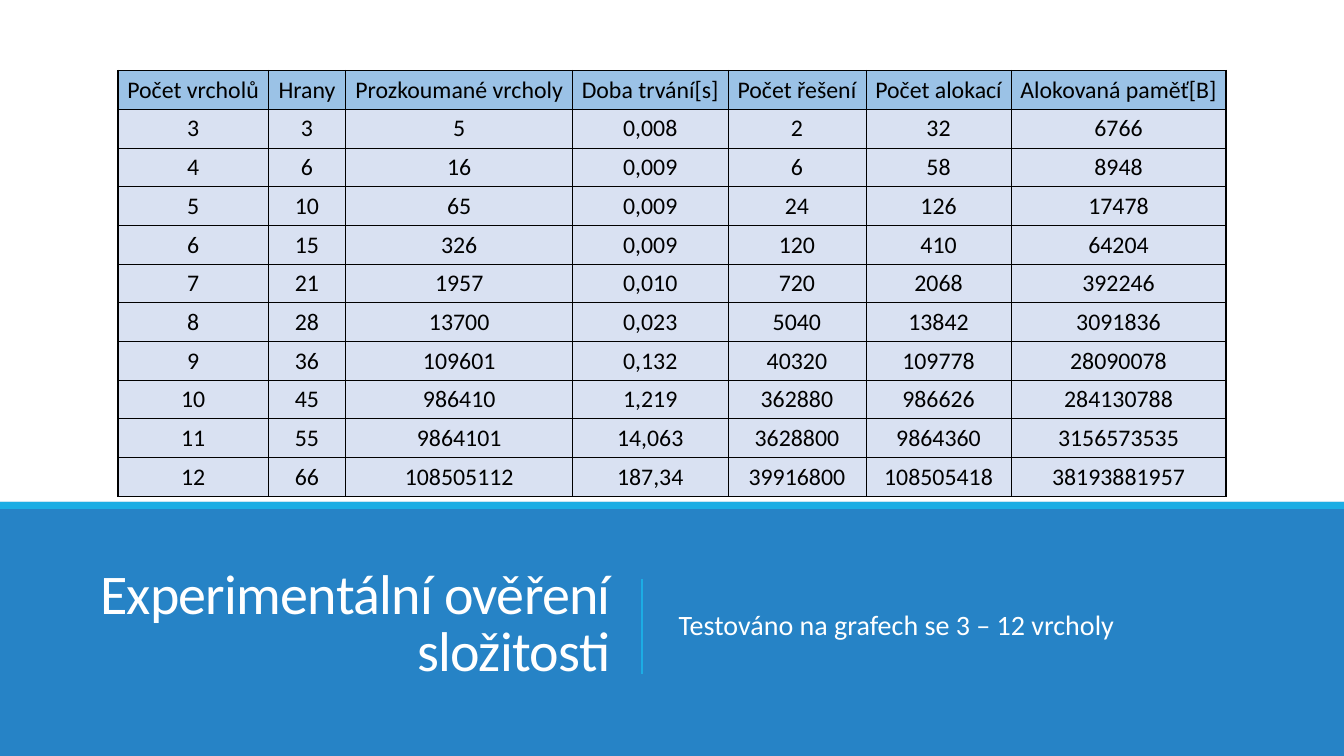
from lxml.etree import SubElement
from pptx import Presentation
from pptx.dml.color import RGBColor
from pptx.enum.shapes import MSO_CONNECTOR, MSO_SHAPE
from pptx.enum.text import MSO_ANCHOR as Anchor, PP_ALIGN as Align
from pptx.oxml import parse_xml
from pptx.oxml.ns import nsdecls, qn
from pptx.util import Inches, Pt

COLORS = {
    "band": "2683C6",
    "accent": "1CADE4",
    "header": "9BC2E6",
    "body": "D9E1F2",
    "black": "000000",
    "white": "FFFFFF",
}
HEADERS = ["Počet vrcholů", "Hrany", "Prozkoumané vrcholy", "Doba trvání[s]",
           "Počet řešení", "Počet alokací", "Alokovaná paměť[B]"]
MEASUREMENTS = [
    ["3", "3", "5", "0,008", "2", "32", "6766"],
    ["4", "6", "16", "0,009", "6", "58", "8948"],
    ["5", "10", "65", "0,009", "24", "126", "17478"],
    ["6", "15", "326", "0,009", "120", "410", "64204"],
    ["7", "21", "1957", "0,010", "720", "2068", "392246"],
    ["8", "28", "13700", "0,023", "5040", "13842", "3091836"],
    ["9", "36", "109601", "0,132", "40320", "109778", "28090078"],
    ["10", "45", "986410", "1,219", "362880", "986626", "284130788"],
    ["11", "55", "9864101", "14,063", "3628800", "9864360", "3156573535"],
    ["12", "66", "108505112", "187,34", "39916800", "108505418", "38193881957"],
]
COLUMN_WIDTHS = [149, 77, 225, 154, 137, 144, 213]
THIN, THICK = Pt(0.5), Pt(0.96)

presentation = Presentation()
presentation.slide_width, presentation.slide_height = Inches(13.33), Inches(7.5)
slide = presentation.slides.add_slide(presentation.slide_layouts[6])

# The slide is a fine grid of 1333 columns by 750 rows
COLUMN = presentation.slide_width // 1333
ROW = presentation.slide_height // 750


def grid(left, top, width, height):
    return left * COLUMN, top * ROW, width * COLUMN, height * ROW


def write(frame, text, size, color="white", align=Align.LEFT, anchor=Anchor.MIDDLE,
          line_spacing=1.0, before=0, after=0, tracking=0, indent=0):
    """Fill a text frame with one formatted paragraph; tracking is in 1/100 pt."""
    frame.word_wrap = True
    frame.vertical_anchor = anchor
    paragraph = frame.paragraphs[0]
    paragraph.alignment = align
    paragraph.line_spacing = line_spacing
    paragraph.space_before, paragraph.space_after = Pt(before), Pt(after)
    if indent:
        paragraph._p.get_or_add_pPr().set("marL", str(indent))
    run = paragraph.add_run()
    run.text = text
    run.font.name = "Calibri"
    run.font.size = Pt(size)
    run.font.color.rgb = RGBColor.from_string(COLORS[color])
    if tracking:
        run.font._element.set("spc", str(tracking))


# Lower band with its accent stripe
for color, height in [("band", 252), ("accent", 7)]:
    band = slide.shapes.add_shape(MSO_SHAPE.RECTANGLE, *grid(0, 498, 1333, height))
    band.shadow.inherit = False
    band.fill.solid()
    band.fill.fore_color.rgb = RGBColor.from_string(COLORS[color])
    band.line.fill.background()

# Title, divider and note
title = slide.shapes.add_textbox(*grid(69, 536, 546, 170))
write(title.text_frame, "Experimentální ověření složitosti", 40,
      align=Align.RIGHT, line_spacing=0.85, tracking=-50)

divider = slide.shapes.add_connector(
    MSO_CONNECTOR.STRAIGHT, 637 * COLUMN, 574 * ROW, 637 * COLUMN, 669 * ROW)
divider.line.color.rgb = RGBColor.from_string(COLORS["accent"])
divider.line.width = Pt(1.25)
SubElement(divider._element.spPr, qn("a:effectLst"))

note = slide.shapes.add_textbox(*grid(663, 536, 601, 170))
note.text_frame.margin_left = note.text_frame.margin_right = 0
write(note.text_frame, "Testováno na grafech se 3 – 12 vrcholy", 20,
      line_spacing=0.9, before=12, after=2, indent=10 * COLUMN)

# Table of measurements, with a thicker outer border
rows = [HEADERS] + MEASUREMENTS
last_row, last_column = len(rows) - 1, len(HEADERS) - 1
table = slide.shapes.add_table(
    len(rows), len(HEADERS), *grid(117, 70, sum(COLUMN_WIDTHS), 389)).table
table.first_row = table.horz_banding = False
for column, width in zip(table.columns, COLUMN_WIDTHS):
    column.width = width * COLUMN

for row_index, values in enumerate(rows):
    is_header = row_index == 0
    for column_index, value in enumerate(values):
        cell = table.cell(row_index, column_index)
        cell.margin_left = cell.margin_right = COLUMN
        anchor = Anchor.BOTTOM if is_header else Anchor.MIDDLE
        write(cell.text_frame, value, 17, "black", Align.CENTER)
        cell.vertical_anchor = anchor
        cell.fill.solid()
        cell.fill.fore_color.rgb = RGBColor.from_string(
            COLORS["header" if is_header else "body"])
        outer_sides = {"L": column_index == 0, "R": column_index == last_column,
                       "T": is_header, "B": row_index == last_row}
        for position, (side, is_outer) in enumerate(outer_sides.items()):
            border = parse_xml(
                f'<a:ln{side} {nsdecls("a")} w="{THICK if is_outer else THIN}">'
                f'<a:solidFill><a:srgbClr val="{COLORS["black"]}"/></a:solidFill>'
                f'</a:ln{side}>')
            cell._tc.get_or_add_tcPr().insert(position, border)

presentation.save("out.pptx")
